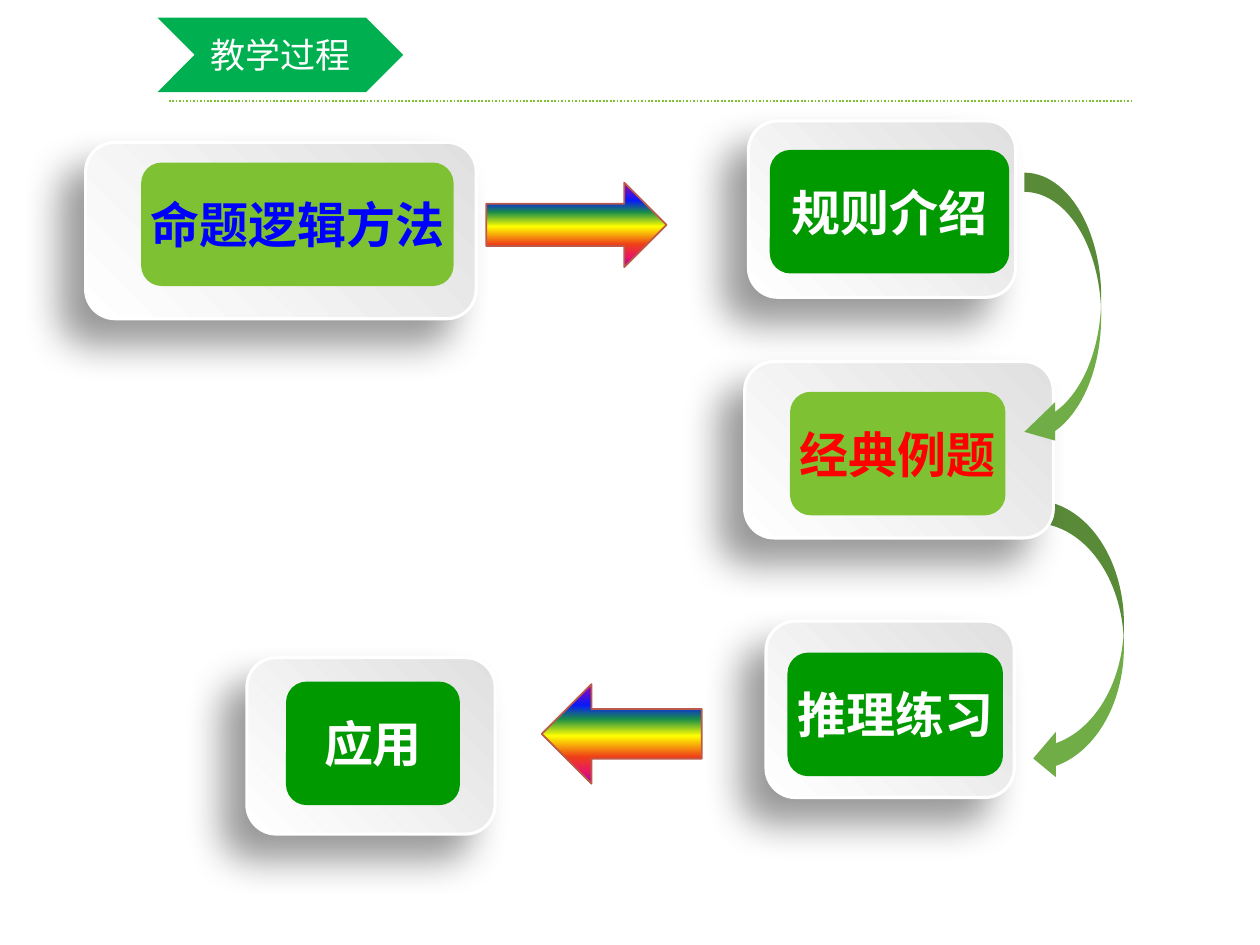
from dataclasses import dataclass

from lxml.etree import SubElement
from pptx import Presentation
from pptx.dml.color import RGBColor
from pptx.enum.dml import MSO_LINE
from pptx.enum.shapes import MSO_CONNECTOR as Connector, MSO_SHAPE as Shape
from pptx.enum.text import MSO_ANCHOR as Anchor, PP_ALIGN as Align
from pptx.oxml.ns import qn
from pptx.util import Inches, Pt

COLUMNS, ROWS = 100, 75
FONT = "Noto Sans CJK SC"
COLORS = {
    "white": "FFFFFF", "silver": "E0E0E0", "banner": "00B050", "lime": "7EC234",
    "green": "009900", "leaf": "70AD47", "blue": "0000FF", "red": "FF0000",
    "rust": "BD5949", "shadow": "000000", "purple": "A603AB", "azure": "0819FB",
    "teal": "1A8D48", "yellow": "FFFF00", "orange": "EE3F17", "pink": "E81766",
}
CARD_STOPS = ((0, "silver"), (100, "white"))
RAINBOW_STOPS = ((0, "purple"), (21, "azure"), (35, "teal"), (52, "yellow"),
                 (73, "orange"), (88, "pink"), (100, "purple"))
CARD_HEIGHT, LABEL_HEIGHT = 14, 9.8


@dataclass(frozen=True)
class Box:
    column: float
    row: float
    columns: float
    rows: float


@dataclass(frozen=True)
class Step:
    text: str
    card: Box
    label: Box
    fill: str
    ink: str


@dataclass(frozen=True)
class Arrow:
    kind: Shape
    box: Box


def step(text: str, card: tuple, label: tuple, fill: str, ink: str) -> Step:
    return Step(text, Box(*card, CARD_HEIGHT), Box(*label, LABEL_HEIGHT), fill, ink)


STEPS = (
    step("规则介绍", (59.4, 9.6, 21.2), (61.1, 11.9, 19), "green", "white"),
    step("经典例题", (59.1, 28.7, 24.5), (62.7, 31.1, 17.1), "lime", "red"),
    step("命题逻辑方法", (6.8, 11.3, 31), (11.2, 12.9, 24.8), "lime", "blue"),
    step("推理练习", (60.8, 49.3, 19.7), (62.5, 51.8, 17.1), "green", "white"),
    step("应用", (19.6, 52.2, 19.7), (22.7, 54.1, 13.8), "green", "white"),
)
LOWER_CURVE = Arrow(Shape.CURVED_LEFT_ARROW, Box(82, 39.7, 7.2, 22.3))
UPPER_CURVE = Arrow(Shape.CURVED_LEFT_ARROW, Box(81.3, 13.7, 6.1, 22.1))
RAINBOW_ARROWS = (
    Arrow(Shape.RIGHT_ARROW, Box(38.6, 14.5, 14.3, 6.7)),
    Arrow(Shape.LEFT_ARROW, Box(43, 54.3, 12.7, 7.9)),
)

presentation = Presentation()
presentation.slide_width, presentation.slide_height = Inches(10), Inches(7.5)
slide = presentation.slides.add_slide(presentation.slide_layouts[6])


def across(columns: float) -> int:
    return round(presentation.slide_width * columns / COLUMNS)


def down(rows: float) -> int:
    return round(presentation.slide_height * rows / ROWS)


def color(name: str) -> RGBColor:
    return RGBColor.from_string(COLORS[name])


def add_shape(parent, kind: Shape, box: Box, fill: str = ""):
    shape = parent.shapes.add_shape(kind, across(box.column), down(box.row),
                                    across(box.columns), down(box.rows))
    shape.shadow.inherit = False
    shape.line.fill.background()
    if fill:
        shape.fill.solid()
        shape.fill.fore_color.rgb = color(fill)
    return shape


def set_gradient(shape, stops: tuple, angle: int) -> None:
    properties = shape._element.spPr
    gradient = SubElement(properties, qn("a:gradFill"), rotWithShape="1")
    properties.find(qn("a:prstGeom")).addnext(gradient)
    stop_list = SubElement(gradient, qn("a:gsLst"))
    for position, name in stops:
        stop = SubElement(stop_list, qn("a:gs"), pos=str(position * 1000))
        SubElement(stop, qn("a:srgbClr"), val=COLORS[name])
    SubElement(gradient, qn("a:lin"), ang=str(angle * 60000), scaled="0")


def set_outline(shape, name: str, width: float) -> None:
    shape.line.color.rgb = color(name)
    shape.line.width = Pt(width)


def set_shadow(shape) -> None:
    effects = shape._element.spPr.find(qn("a:effectLst"))
    shadow = SubElement(effects, qn("a:outerShdw"), blurRad=str(Pt(22)),
                        dist=str(Pt(20)), dir=str(135 * 60000),
                        algn="tr", rotWithShape="0")
    tint = SubElement(shadow, qn("a:srgbClr"), val=COLORS["shadow"])
    SubElement(tint, qn("a:alpha"), val="40000")


def set_text(shape, text: str, size: int, ink: str, bold: bool) -> None:
    frame = shape.text_frame
    frame.text = text
    frame.word_wrap = False
    frame.vertical_anchor = Anchor.MIDDLE
    frame.margin_left = frame.margin_right = frame.margin_top = frame.margin_bottom = 0
    paragraph = frame.paragraphs[0]
    paragraph.alignment = Align.CENTER
    run = paragraph.runs[0]
    run.font.size, run.font.bold, run.font.name = Pt(size), bold, FONT
    run.font.color.rgb = color(ink)
    SubElement(run.font._element, qn("a:ea"), typeface=FONT)


def add_step(item: Step) -> None:
    group = slide.shapes.add_group_shape()
    card = add_shape(group, Shape.ROUNDED_RECTANGLE, item.card)
    set_gradient(card, CARD_STOPS, 135)
    set_outline(card, "white", 1.75)
    set_shadow(card)
    label = add_shape(group, Shape.ROUNDED_RECTANGLE, item.label, item.fill)
    set_text(label, item.text, 28, item.ink, True)


def add_rainbow_arrow(arrow: Arrow) -> None:
    shape = add_shape(slide, arrow.kind, arrow.box)
    set_gradient(shape, RAINBOW_STOPS, 90)
    set_outline(shape, "rust", 1)


def add_heading() -> None:
    rule = slide.shapes.add_connector(Connector.STRAIGHT, across(13.4), down(8),
                                      across(89.8), down(8))
    set_outline(rule, "lime", 1)
    rule.line.dash_style = MSO_LINE.ROUND_DOT
    SubElement(rule._element.spPr, qn("a:effectLst"))
    banner = add_shape(slide, Shape.CHEVRON, Box(12.5, 1.4, 19.5, 5.9), "banner")
    set_text(banner, "教学过程", 20, "white", False)


def main() -> None:
    add_shape(slide, LOWER_CURVE.kind, LOWER_CURVE.box, "leaf")
    add_heading()
    for item in STEPS:
        add_step(item)
    for arrow in RAINBOW_ARROWS:
        add_rainbow_arrow(arrow)
    curve = add_shape(slide, UPPER_CURVE.kind, UPPER_CURVE.box, "leaf")
    curve.adjustments[2] = 0.4
    presentation.save("out.pptx")


if __name__ == "__main__":
    main()
